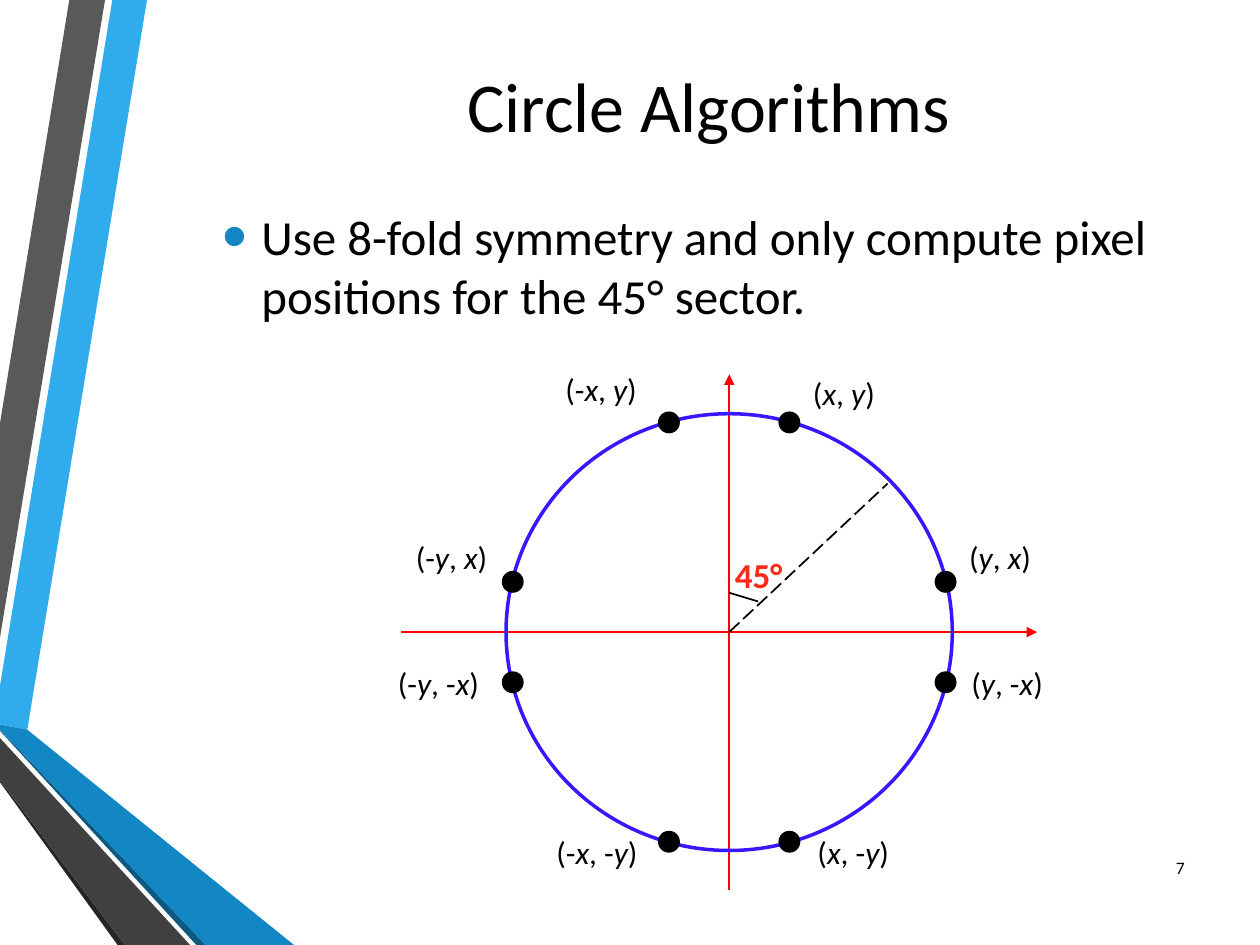
from dataclasses import dataclass
from itertools import groupby, product

from lxml import etree
from pptx import Presentation
from pptx import util as u
from pptx.dml.color import RGBColor
from pptx.enum import dml, shapes, text
from pptx.oxml.ns import qn

CELL = u.Inches(1) // 12  # the slide is a grid of 120 columns by 90 rows


@dataclass(frozen=True)
class Theme:
    font: str = "Calibri"
    title: int = 40
    body: int = 28
    angle: int = 20
    label: int = 18
    number: int = 10
    ink: str = "000000"
    bullet: str = "1287C3"
    axis: str = "FF0000"
    circle: str = "3817FF"
    angle_ink: str = "FD2919"


THEME = Theme()

# Ribbon colours with their corners in columns and rows
RIBBONS = [
    ("30ACEC", [(0, 65.3), (0, 69), (2.6, 69.5), (14, 0), (10.7, 0)]),
    ("595959", [(10, 0), (6.6, 0), (0, 40.3), (0, 60.7)]),
    ("262626", [(0, 74.3), (0, 74.5), (11.2, 90), (11.9, 90)]),
    ("0C5A82", [(0, 69.5), (0, 69.6), (18.7, 90), (19.6, 90)]),
    ("1287C3", [(0, 69.5), (19.6, 90), (28, 90), (2.6, 69.5), (0, 69)]),
    ("404040", [(0, 74.3), (11.9, 90), (18.1, 90), (0, 70.3)]),
]

# Label corners as shares of the circle's radii, from its centre
LABELS = [
    ("(x, y)", 0.32, -1.21), ("(y, x)", 1.02, -0.46),
    ("(-x, y)", -0.79, -1.23), ("(y, -x)", 1.03, 0.12),
    ("(x, -y)", 0.34, 0.89), ("(-x, -y)", -0.83, 0.89),
    ("(-y, x)", -1.46, -0.46), ("(-y, -x)", -1.54, 0.12),
]


@dataclass(frozen=True)
class Box:
    """A region in columns and rows."""
    left: float
    top: float
    width: float
    height: float

    def emu(self):
        return [round(side * CELL) for side in
                (self.left, self.top, self.width, self.height)]

    def from_centre(self, across, down):
        """A point given as shares of half the width and half the height."""
        return (self.left + self.width / 2 * (1 + across),
                self.top + self.height / 2 * (1 + down))


def rgb(colour):
    return RGBColor.from_string(colour)


def set_font(paragraph, size, colour=THEME.ink, bold=False):
    font = paragraph.font
    font.name, font.size, font.bold = THEME.font, u.Pt(size), bold
    font.color.rgb = rgb(colour)


def add_text_box(slide, box, wrap=True):
    frame = slide.shapes.add_textbox(*box.emu()).text_frame
    frame.word_wrap = wrap
    if wrap:
        frame.vertical_anchor = text.MSO_ANCHOR.MIDDLE
    else:
        frame.auto_size = text.MSO_AUTO_SIZE.SHAPE_TO_FIT_TEXT
    return frame.paragraphs[0]


def add_ribbons(slide, box):
    for colour, corners in RIBBONS:
        points = [(round((box.left + x) * CELL), round((box.top + y) * CELL))
                  for x, y in corners]
        builder = slide.shapes.build_freeform(*points[0])
        builder.add_line_segments(points[1:], close=True)
        shape = builder.convert_to_shape()
        shape.shadow.inherit = False
        shape.fill.solid()
        shape.fill.fore_color.rgb = rgb(colour)
        shape.line.fill.background()


def add_title(slide, box):
    title = slide.shapes.title
    title.left, title.top, title.width, title.height = box.emu()
    title.text_frame.text = "Circle Algorithms"
    title.text_frame.vertical_anchor = text.MSO_ANCHOR.MIDDLE
    paragraph = title.text_frame.paragraphs[0]
    paragraph.alignment = text.PP_ALIGN.CENTER
    set_font(paragraph, THEME.title)


def add_body(slide, box):
    paragraph = add_text_box(slide, box)
    paragraph.text = ("Use 8-fold symmetry and only compute pixel "
                      "positions for the 45° sector.")
    # Coloured, enlarged bullet with a hanging indent
    properties = paragraph._p.get_or_add_pPr()
    indent = u.Inches(0.31)
    properties.set("marL", str(indent))
    properties.set("indent", str(-indent))
    colour = etree.SubElement(properties, qn("a:buClr"))
    etree.SubElement(colour, qn("a:srgbClr"), val=THEME.bullet)
    etree.SubElement(properties, qn("a:buSzPct"), val="145000")
    etree.SubElement(properties, qn("a:buFont"), typeface="Arial")
    etree.SubElement(properties, qn("a:buChar"), char="•")
    set_font(paragraph, THEME.body)


def add_slide_number(slide, box):
    paragraph = add_text_box(slide, box)
    paragraph.text = "7"
    paragraph.alignment = text.PP_ALIGN.RIGHT
    set_font(paragraph, THEME.number)


def add_line(slide, start, end, colour, arrow=False, dash=None):
    ends = [round(value * CELL) for value in (*start, *end)]
    line = slide.shapes.add_connector(shapes.MSO_CONNECTOR.STRAIGHT, *ends)
    line.line.color.rgb = rgb(colour)
    line.line.width = u.Pt(1)
    if dash:
        line.line.dash_style = dash
    if arrow:
        etree.SubElement(line.line._get_or_add_ln(), qn("a:tailEnd"),
                         type="triangle")
    etree.SubElement(line._element.spPr, qn("a:effectLst"))


def add_ellipse(slide, box, colour, width, filled):
    ellipse = slide.shapes.add_shape(shapes.MSO_SHAPE.OVAL, *box.emu())
    ellipse.shadow.inherit = False
    if filled:
        ellipse.fill.solid()
        ellipse.fill.fore_color.rgb = rgb(colour)
    else:
        ellipse.fill.background()
    ellipse.line.color.rgb = rgb(colour)
    ellipse.line.width = u.Pt(width)


def add_label(slide, box, label):
    paragraph = add_text_box(slide, box, wrap=False)
    for italic, letters in groupby(label, str.isalpha):
        run = paragraph.add_run()
        run.text = "".join(letters)
        run.font.italic = italic
    set_font(paragraph, THEME.label)


def add_circle_diagram(slide, box):
    at = box.from_centre
    # Axes and circle
    add_line(slide, at(0, 1.18), at(0, -1.18), THEME.axis, arrow=True)
    add_line(slide, at(-1.47, 0), at(1.38, 0), THEME.axis, arrow=True)
    add_ellipse(slide, box, THEME.circle, 2, filled=False)
    # 45° sector
    add_line(slide, at(0, 0), at(0.71, -0.68), THEME.ink,
             dash=dml.MSO_LINE.LONG_DASH)
    add_line(slide, at(0, -0.18), at(0.13, -0.14), THEME.ink)
    angle = add_text_box(slide, Box(*at(-0.03, -0.39), 7.7, 5.3), wrap=False)
    angle.text = "45°"
    set_font(angle, THEME.angle, THEME.angle_ink, bold=True)
    # Eight symmetric points
    dot = 1.92
    for (across, down), x_sign, y_sign in product(
            [(0.27, 0.96), (0.97, 0.23)], (1, -1), (1, -1)):
        x, y = at(across * x_sign, down * y_sign)
        add_ellipse(slide, Box(x - dot / 2, y - dot / 2, dot, dot),
                    THEME.ink, 1, filled=True)
    # Point labels, wider for each minus sign
    for label, across, down in LABELS:
        width = 8.6 + label.count("-")
        add_label(slide, Box(*at(across, down), width, 4.8), label)


def main():
    presentation = Presentation()
    presentation.slide_width = 120 * CELL
    presentation.slide_height = 90 * CELL
    slide = presentation.slides.add_slide(presentation.slide_layouts[5])
    add_ribbons(slide, Box(0, 0, 28, 90))
    add_title(slide, Box(18, 2.5, 99, 15))
    add_body(slide, Box(20, 17.7, 100, 15.1))
    add_slide_number(slide, Box(108.4, 80.2, 5.6, 4.8))
    add_circle_diagram(slide, Box(48.2, 39.4, 42.5, 41.6))
    presentation.save("out.pptx")


if __name__ == "__main__":
    main()
